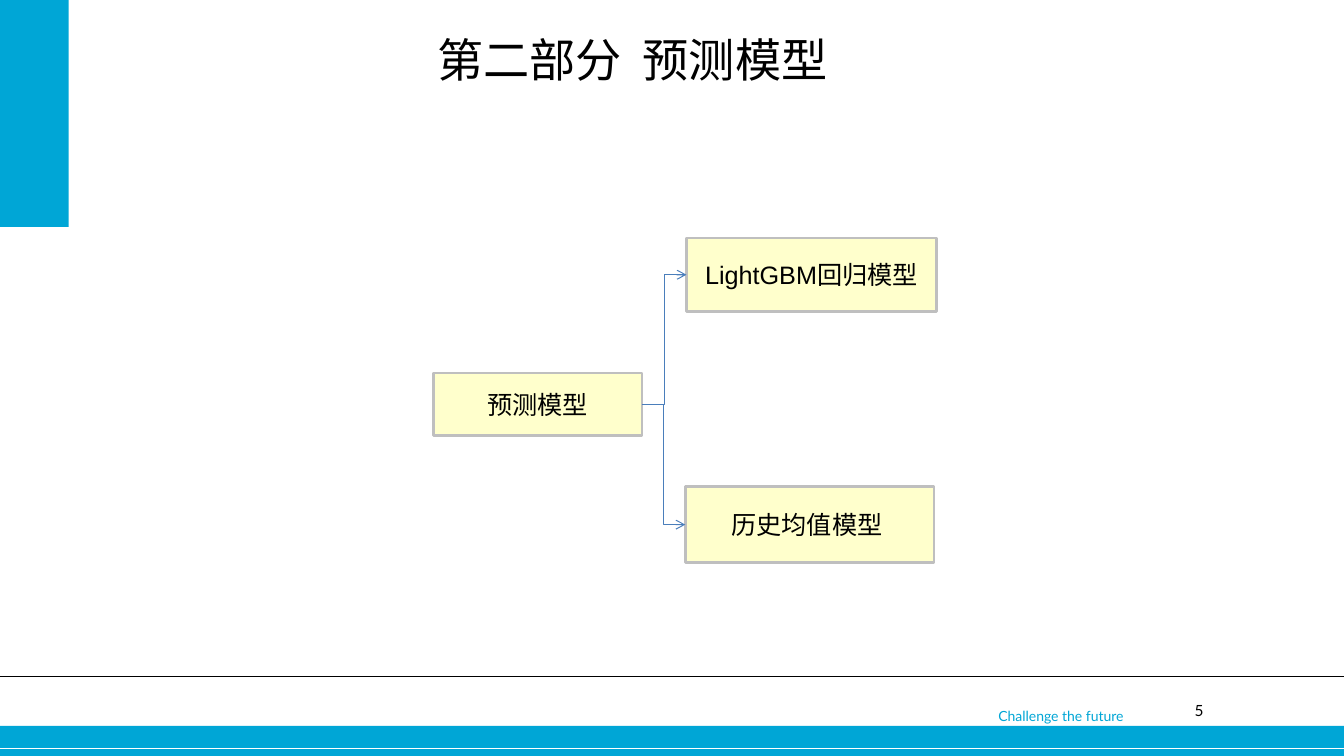
from dataclasses import dataclass

from lxml.etree import SubElement
from pptx import Presentation
from pptx.dml.color import RGBColor
from pptx.enum.shapes import MSO_CONNECTOR, MSO_SHAPE
from pptx.enum.text import MSO_ANCHOR, PP_ALIGN
from pptx.oxml.ns import qn
from pptx.shapes.autoshape import Shape
from pptx.shapes.connector import Connector
from pptx.slide import Slide
from pptx.text.text import TextFrame
from pptx.util import Cm, Pt

CYAN = RGBColor(0x00, 0xA6, 0xD6)
WHITE = RGBColor(0xFF, 0xFF, 0xFF)
BLACK = RGBColor(0x00, 0x00, 0x00)
CREAM = RGBColor(0xFF, 0xFF, 0xCC)
GREY = RGBColor(0xBF, 0xBF, 0xBF)
BLUE = RGBColor(0x4A, 0x7E, 0xBB)

CJK_FONT = "Noto Sans CJK SC"
SLIDE_WIDTH = 33.87
SLIDE_HEIGHT = 19.05


@dataclass(frozen=True)
class Box:
    left: float
    top: float
    width: float
    height: float


@dataclass(frozen=True)
class Model:
    label: str
    box: Box


@dataclass(frozen=True)
class Rule:
    y: float
    color: RGBColor
    weight: float


@dataclass(frozen=True)
class FooterItem:
    text: str
    box: Box
    size: float
    color: RGBColor
    align: PP_ALIGN


BANDS = [Box(0, 18.29, SLIDE_WIDTH, 0.76), Box(0, 0, 1.73, 5.72)]
RULES = [Rule(18.85, WHITE, 0.75), Rule(17.04, BLACK, 1)]
FOOTER = [
    FooterItem("5", Box(28.65, 17.68, 1.68, 0.69), 11, BLACK, PP_ALIGN.RIGHT),
    FooterItem("Challenge the future", Box(24.91, 17.7, 4.9, 0.42), 10, CYAN, PP_ALIGN.LEFT),
]
ROOT = Model("预测模型", Box(10.92, 9.4, 5.26, 1.57))
BRANCHES = [
    Model("LightGBM回归模型", Box(17.3, 6, 6.3, 1.85)),
    Model("历史均值模型 ", Box(17.27, 12.27, 6.27, 1.9)),
]


def place(shape: Shape, box: Box) -> None:
    shape.left, shape.top = Cm(box.left), Cm(box.top)
    shape.width, shape.height = Cm(box.width), Cm(box.height)


def clear_margins(frame: TextFrame) -> None:
    frame.margin_left = frame.margin_right = 0
    frame.margin_top = frame.margin_bottom = 0


def add_run(frame: TextFrame, text: str, font: str, size: float,
            color: RGBColor, align: PP_ALIGN, spacing: float = 0) -> None:
    frame.word_wrap = True
    paragraph = frame.paragraphs[0]
    paragraph.alignment = align
    run = paragraph.add_run()
    run.text = text
    run.font.name = font
    run.font.size = Pt(size)
    run.font.color.rgb = color
    properties = run._r.get_or_add_rPr()
    SubElement(properties, qn("a:ea")).set("typeface", CJK_FONT)
    if spacing:
        properties.set("spc", str(round(spacing * 100)))


def add_rectangle(slide: Slide, box: Box, fill: RGBColor) -> Shape:
    rectangle = slide.shapes.add_shape(
        MSO_SHAPE.RECTANGLE, Cm(box.left), Cm(box.top), Cm(box.width), Cm(box.height))
    rectangle.shadow.inherit = False
    rectangle.fill.solid()
    rectangle.fill.fore_color.rgb = fill
    rectangle.line.fill.background()
    return rectangle


def style_line(line: Connector, color: RGBColor, weight: float) -> None:
    line.line.color.rgb = color
    line.line.width = Pt(weight)
    SubElement(line._element.spPr, qn("a:effectLst"))


def add_rule(slide: Slide, rule: Rule) -> None:
    line = slide.shapes.add_connector(
        MSO_CONNECTOR.STRAIGHT, 0, Cm(rule.y), Cm(SLIDE_WIDTH), Cm(rule.y))
    style_line(line, rule.color, rule.weight)


def add_footer_item(slide: Slide, item: FooterItem) -> None:
    footer = slide.shapes.add_textbox(0, 0, 0, 0)
    place(footer, item.box)
    if item.align == PP_ALIGN.RIGHT:
        clear_margins(footer.text_frame)
    add_run(footer.text_frame, item.text, "Lato", item.size, item.color, item.align)


def add_title(slide: Slide) -> None:
    title = slide.shapes.title
    place(title, Box(5.99, 0.79, 19.89, 3.45))
    frame = title.text_frame
    clear_margins(frame)
    frame.vertical_anchor = MSO_ANCHOR.TOP
    for text, spacing in (("第二部分", 0), (" ", 7.4), ("预测模型", 0)):
        add_run(frame, text, CJK_FONT, 33, BLACK, PP_ALIGN.CENTER, spacing)


def add_model(slide: Slide, model: Model) -> Shape:
    node = add_rectangle(slide, model.box, CREAM)
    node.line.color.rgb = GREY
    node.line.width = Pt(2)
    node.text_frame.vertical_anchor = MSO_ANCHOR.MIDDLE
    add_run(node.text_frame, model.label, "Arial", 18, BLACK, PP_ALIGN.CENTER)
    return node


def add_arrow(slide: Slide, source: Shape, target: Shape) -> None:
    arrow = slide.shapes.add_connector(MSO_CONNECTOR.ELBOW, 0, 0, 0, 0)
    arrow.begin_connect(source, 3)
    arrow.end_connect(target, 1)
    style_line(arrow, BLUE, 0.75)
    SubElement(arrow.line._get_or_add_ln(), qn("a:tailEnd")).set("type", "arrow")


def main() -> None:
    presentation = Presentation()
    presentation.slide_width = Cm(SLIDE_WIDTH)
    presentation.slide_height = Cm(SLIDE_HEIGHT)
    slide = presentation.slides.add_slide(presentation.slide_layouts[5])
    for band in BANDS:
        add_rectangle(slide, band, CYAN)
    for rule in RULES:
        add_rule(slide, rule)
    for item in FOOTER:
        add_footer_item(slide, item)
    add_title(slide)
    root = add_model(slide, ROOT)
    for branch in BRANCHES:
        add_arrow(slide, root, add_model(slide, branch))
    presentation.save("out.pptx")


if __name__ == "__main__":
    main()
